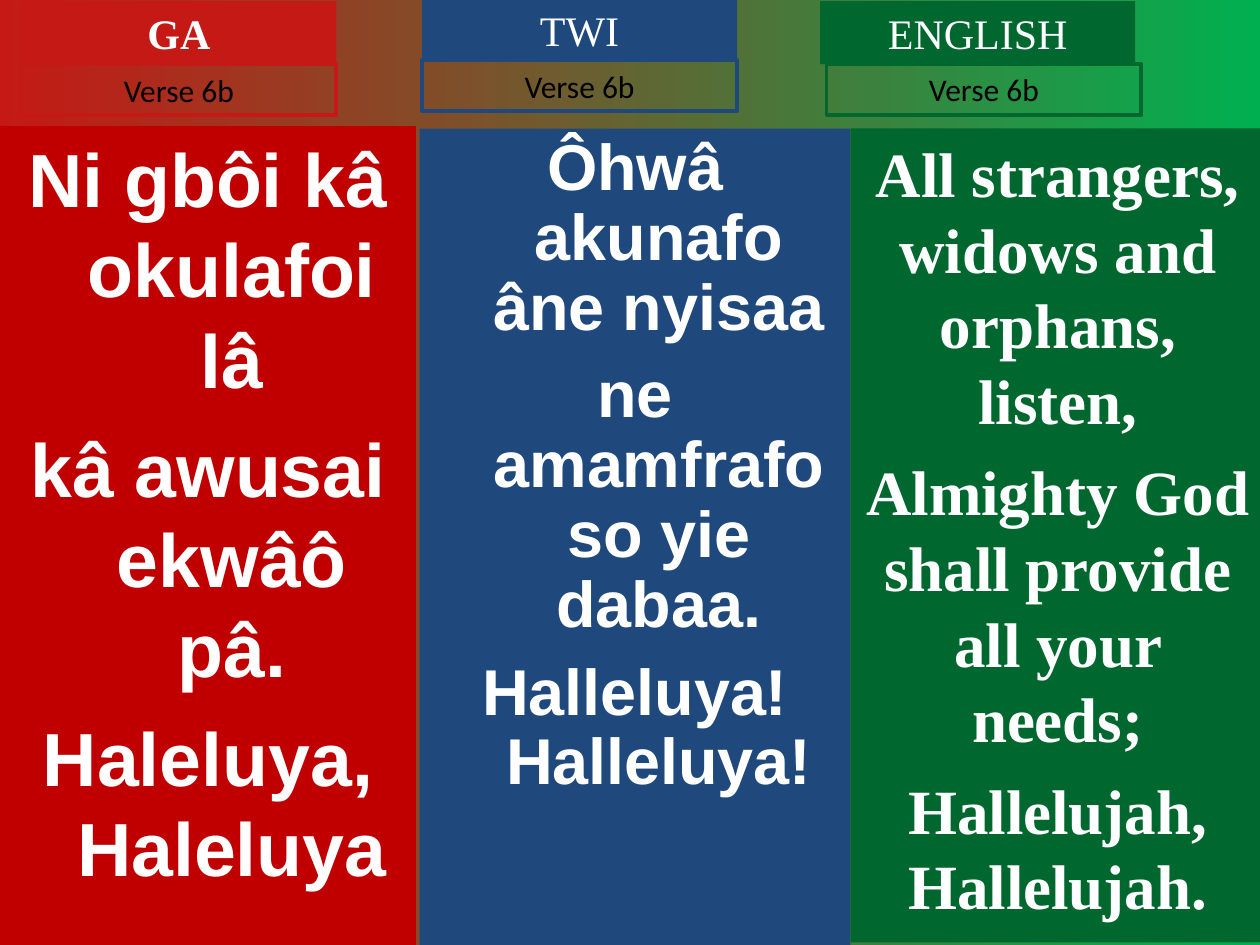
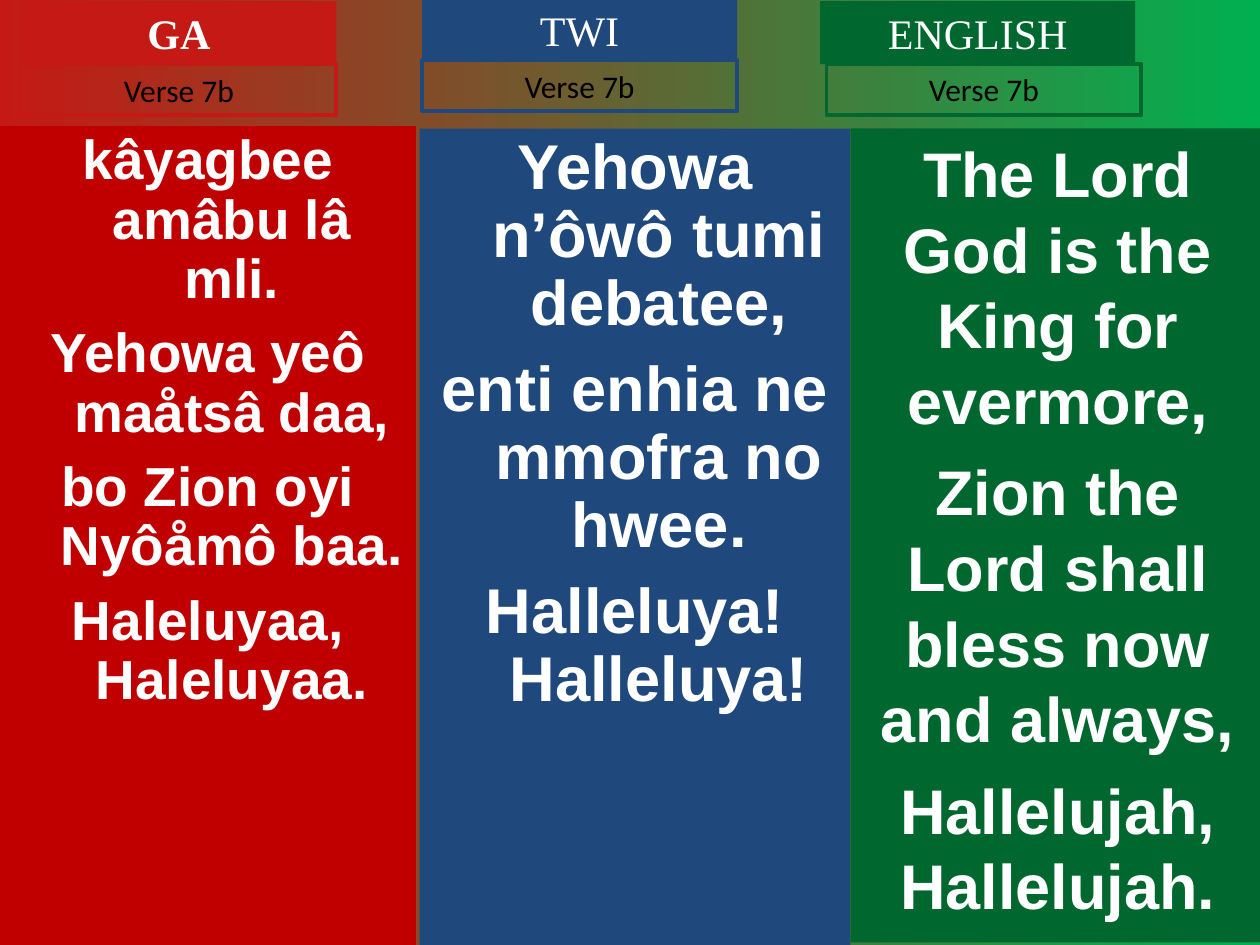
from dataclasses import dataclass

from lxml.etree import SubElement
from pptx import Presentation
from pptx.dml.color import RGBColor
from pptx.enum.text import MSO_ANCHOR, MSO_AUTO_SIZE, PP_ALIGN
from pptx.oxml.ns import qn
from pptx.util import Inches, Pt

WHITE, BLACK = "FFFFFF", "000000"
RED, GREEN = "C51915", "00B050"
SERIF, SANS, CAPTION = "Times New Roman", "Arial", "Calibri"
HANGING = Inches(0.38)
LABEL_SIZE = (2.5, 0.5)
VERSE_SIZE = (2.5, 0.4)


@dataclass
class Column:
    language: str
    accent: str
    label_at: tuple
    verse_at: tuple
    panel_fill: str
    panel_box: tuple
    bold_label: bool = False
    hanging: bool = True


@dataclass
class Lyrics:
    lines: list
    size: float
    before: float
    spacing: float = 0.9
    font: str = SANS


COLUMNS = [
    Column("GA", RED, (0.17, 0.01), (0.17, 0.51), "C00000",
           (0, 1, 3.3, 6.5), bold_label=True),
    Column("TWI", "1F497D", (3.35, -0.01), (3.35, 0.48), "1F497D",
           (3.33, 1.02, 3.42, 6.48)),
    Column("ENGLISH", "00682F", (6.51, 0.01), (6.56, 0.51), "00682F",
           (6.75, 1.02, 3.29, 6.46), hanging=False),
]

VERSES = {
    "Verse 6b": [
        Lyrics(["Ni gbôi kâ okulafoi lâ", "kâ awusai ekwâô pâ.",
                "Haleluya, Haleluya"], 43, 10.7, spacing=1),
        Lyrics(["Ôhwâ akunafo âne nyisaa", "ne amamfrafo so yie dabaa.",
                "Halleluya! Halleluya!"], 37, 10),
        Lyrics(["All strangers, widows and orphans, listen,",
                "Almighty God shall provide all your needs;",
                "Hallelujah, Hallelujah."], 36, 9, spacing=1, font=SERIF),
    ],
    "Verse 7b": [
        Lyrics(["kâyagbee amâbu lâ mli.", "Yehowa yeô maåtsâ daa,",
                "bo Zion oyi Nyôåmô baa.", "Haleluyaa, Haleluyaa."], 31.4, 8.5),
        Lyrics(["Yehowa n’ôwô tumi debatee,", "enti enhia ne mmofra no hwee.",
                "Halleluya! Halleluya!"], 36.1, 9.8),
        Lyrics(["The Lord God is the King for evermore,",
                "Zion the Lord shall bless now and always,",
                "Hallelujah, Hallelujah."], 36, 9, spacing=1),
    ],
}


def rgb(value):
    return RGBColor.from_string(value)


def place(sp, left, top, width, height):
    sp.left, sp.top = Inches(left), Inches(top)
    sp.width, sp.height = Inches(width), Inches(height)


def new_box(s):
    return s.shapes.add_textbox(0, 0, 0, 0)


def paint(sp, color):
    sp.fill.solid()
    sp.fill.fore_color.rgb = rgb(color)


def write(sp, lines, font, size, color, bold=False):
    """Fill a box with centred lines and return its paragraphs."""
    tf = sp.text_frame
    tf.text = "\n".join(lines)
    tf.word_wrap = True
    tf.auto_size = MSO_AUTO_SIZE.NONE
    tf.vertical_anchor = MSO_ANCHOR.TOP
    for p in tf.paragraphs:
        p.alignment = PP_ALIGN.CENTER
        for r in p.runs:
            r.font.name, r.font.size, r.font.bold = font, Pt(size), bold
            r.font.color.rgb = rgb(color)
    return tf.paragraphs


def add_label(s, column):
    sp = new_box(s)
    place(sp, *column.label_at, *LABEL_SIZE)
    paint(sp, column.accent)
    write(sp, [column.language], SERIF, 24, WHITE, column.bold_label)


def frame_verse(sp, column, verse):
    place(sp, *column.verse_at, *VERSE_SIZE)
    sp.line.color.rgb = rgb(column.accent)
    sp.line.width = Pt(2.25)
    write(sp, [verse], CAPTION, 18, BLACK)


def fill_panel(sp, column, lyrics):
    place(sp, *column.panel_box)
    paint(sp, column.panel_fill)
    paragraphs = write(sp, lyrics.lines, lyrics.font, lyrics.size, WHITE, True)
    for i, p in enumerate(paragraphs):
        p.line_spacing = lyrics.spacing
        p.space_before = Pt(lyrics.before if i else 0)
        pPr = p._p.get_or_add_pPr()
        indent = HANGING if column.hanging else 0
        pPr.set("marL", str(indent))
        pPr.set("indent", str(-indent))
        SubElement(pPr, qn("a:buNone"))


def set_background(master):
    fill = master.background.fill
    fill.gradient()
    fill.gradient_angle = 0
    for stop, color, position in zip(fill.gradient_stops, (RED, GREEN), (0, 1)):
        stop.color.rgb = rgb(color)
        stop.position = position


def add_verse_slide(prs, verse, translations):
    s = prs.slides.add_slide(prs.slide_layouts.get_by_name("Two Content"))
    title, ga_body, twi_body = s.placeholders
    panels = [ga_body, twi_body, new_box(s)]
    captions = [title, new_box(s), new_box(s)]
    for column, panel, caption, lyrics in zip(COLUMNS, panels, captions, translations):
        fill_panel(panel, column, lyrics)
        add_label(s, column)
        frame_verse(caption, column, verse)


def main():
    prs = Presentation()
    prs.slide_width, prs.slide_height = Inches(10), Inches(7.5)
    set_background(prs.slide_master)
    for verse, translations in VERSES.items():
        add_verse_slide(prs, verse, translations)
    prs.save("out.pptx")


if __name__ == "__main__":
    main()
